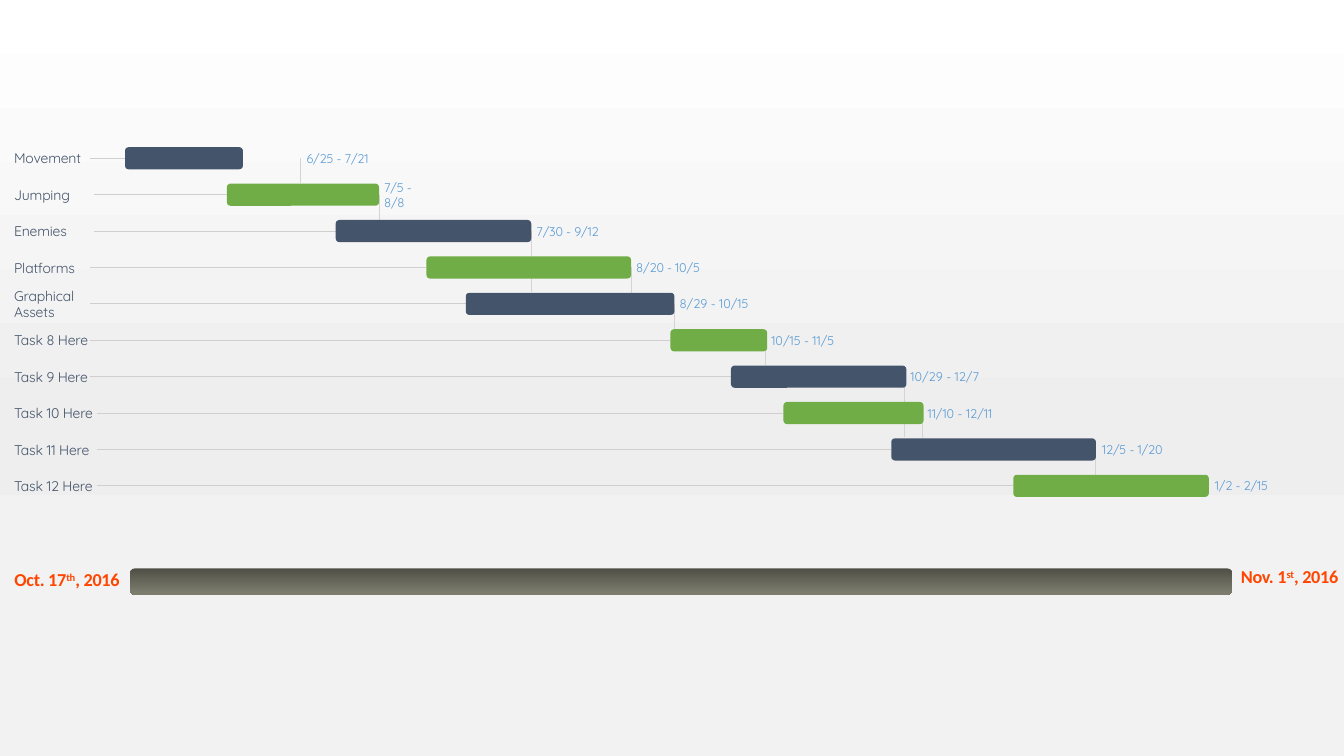
"""Build a Gantt chart slide with ten tasks above a project timeline bar."""
from lxml import etree
from pptx import Presentation
from pptx.dml.color import RGBColor
from pptx.enum import shapes, text
from pptx.oxml import ns
from pptx.util import Inches, Pt

NAVY, GREEN, BLUE, ORANGE = "44546A", "70AD47", "5B9BD5", "FF4500"
FIRST_ROW, ROW_PITCH, BAR_HEIGHT = 1.57, 3.25 / 9, 0.22
LABEL_LEFT, LABEL_WIDTH, DATE_WIDTH = 0.14, 0.86, 0.82

TASKS = [
    ("Movement", "6/25 - 7/21", 0.89, 1.24, 1.17, 3.04, DATE_WIDTH),
    ("Jumping", "7/5 - 8/8", 0.93, 2.25, 1.51, 3.81, 0.5),
    ("Enemies", "7/30 - 9/12", 0.93, 3.33, 1.94, 5.32, DATE_WIDTH),
    ("Platforms", "8/20 - 10/5", 0.89, 4.23, 2.03, 6.31, 0.64),
    ("Graphical Assets", "8/29 - 10/15", 0.89, 4.62, 2.07, 6.74, DATE_WIDTH),
    ("Task 8 Here", "10/15 - 11/5", 0.89, 6.65, 0.96, 7.65, DATE_WIDTH),
    ("Task 9 Here", "10/29 - 12/7", 0.89, 7.25, 1.74, 9.03, DATE_WIDTH),
    ("Task 10 Here", "11/10 - 12/11", 0.96, 7.77, 1.39, 9.2, DATE_WIDTH),
    ("Task 11 Here", "12/5 - 1/20", 0.96, 8.84, 2.03, 10.93, DATE_WIDTH),
    ("Task 12 Here", "1/2 - 2/15", 0.96, 10.05, 1.94, 12.05, DATE_WIDTH),
]
DROPS = [2.98, 3.76, 5.27, 6.26, 6.69, 7.59, 8.97, 9.15, 10.87]
EXTRA_DROPS = [(5.27, 2.73, 2.9), (8.97, 4.21, 4.34)]


def color(value):
    """Turn a hex string into a colour."""
    return RGBColor.from_string(value)


def add_text(left, middle, width, height, runs, font, size, fill, spacing):
    """Add a text box centred on a height and return it; runs pair text and baseline."""
    box = slide.shapes.add_textbox(
        Inches(left), Inches(middle - height / 2), Inches(width), Inches(height))
    frame = box.text_frame
    frame.margin_left = frame.margin_right = frame.margin_top = frame.margin_bottom = 0
    frame.vertical_anchor = text.MSO_ANCHOR.MIDDLE
    frame.word_wrap = True
    for words, baseline in runs:
        run = frame.paragraphs[0].add_run()
        run.text = words
        run.font.name = font
        run.font.size = Pt(size)
        run.font.color.rgb = color(fill)
        properties = run.font._element
        properties.set("spc", str(spacing))
        if baseline:
            properties.set("baseline", str(baseline))
    return box


presentation = Presentation()
presentation.slide_width = Inches(13.33)
presentation.slide_height = Inches(7.5)
slide = presentation.slides.add_slide(presentation.slide_layouts[6])

background = slide.background.fill
background.gradient()
background.gradient_angle = 270
stops = background._fill._gradFill.find(ns.qn("a:gsLst"))
for stop in list(stops):
    stops.remove(stop)
for position, value in [(0, "FFFFFF"), (57, "EEEEEE"), (74, "F2F2F2"), (100, "F2F2F2")]:
    stop = etree.SubElement(stops, ns.qn("a:gs"), pos=str(position * 1000))
    etree.SubElement(stop, ns.qn("a:srgbClr"), val=value)

rows = [FIRST_ROW + index * ROW_PITCH for index in range(len(TASKS))]
lines = [(x, y, x, y + 0.25, "D5D4D3") for x, y in zip(DROPS, rows)]
lines += [(x, top, x, bottom, "D5D4D3") for x, top, bottom in EXTRA_DROPS]
lines += [(task[2], y, task[3], y, "D2CECE") for task, y in zip(TASKS, rows)]
for x1, y1, x2, y2, value in lines:
    line = slide.shapes.add_connector(
        shapes.MSO_CONNECTOR.STRAIGHT, Inches(x1), Inches(y1), Inches(x2), Inches(y2))
    line.line.color.rgb = color(value)
    line.line.width = Pt(0.75)
    etree.SubElement(line._element.spPr, ns.qn("a:effectLst"))

bars = [(task[3], y - BAR_HEIGHT / 2, task[4], BAR_HEIGHT, (NAVY, GREEN)[index % 2])
        for index, (task, y) in enumerate(zip(TASKS, rows))]
bars.append((1.29, 5.64, 10.93, 0.26, None))
for left, top, width, height, value in bars:
    bar = slide.shapes.add_shape(
        shapes.MSO_SHAPE.ROUNDED_RECTANGLE,
        Inches(left), Inches(top), Inches(width), Inches(height))
    bar.shadow.inherit = False
    bar.line.fill.background()
    if value:
        bar.fill.solid()
        bar.fill.fore_color.rgb = color(value)
    else:
        bar.fill.gradient()
        bar.fill.gradient_angle = 270
        for stop, position, shade in zip(bar.fill.gradient_stops, (0, 1), ("505046", "7F7F70")):
            stop.position = position
            stop.color.rgb = color(shade)

for (label, dates, _, _, _, date_left, date_width), y in zip(TASKS, rows):
    add_text(LABEL_LEFT, y, LABEL_WIDTH, 0.17, [(label, 0)], "Quicksand", 10, NAVY, -10)
    date_spacing = 0 if len(dates) > 11 else -10
    add_text(date_left, y, date_width, 0.15, [(dates, 0)], "Quicksand", 9, BLUE, date_spacing)

for left, middle, width, day, suffix in [
        (0.13, 5.75, 1.07, "Oct. 17", "th"), (12.29, 5.72, 1, "Nov. 1", "st")]:
    runs = [(day, 0), (suffix, 30000), (", 2016", 0)]
    milestone = add_text(left, middle, width, 0.22, runs, "Calibri", 13, ORANGE, -20)
    milestone.text_frame.word_wrap = False
    paragraph = milestone.text_frame.paragraphs[0]
    paragraph.alignment = text.PP_ALIGN.CENTER
    for run in paragraph.runs:
        run.font.bold = True

presentation.save("out.pptx")
